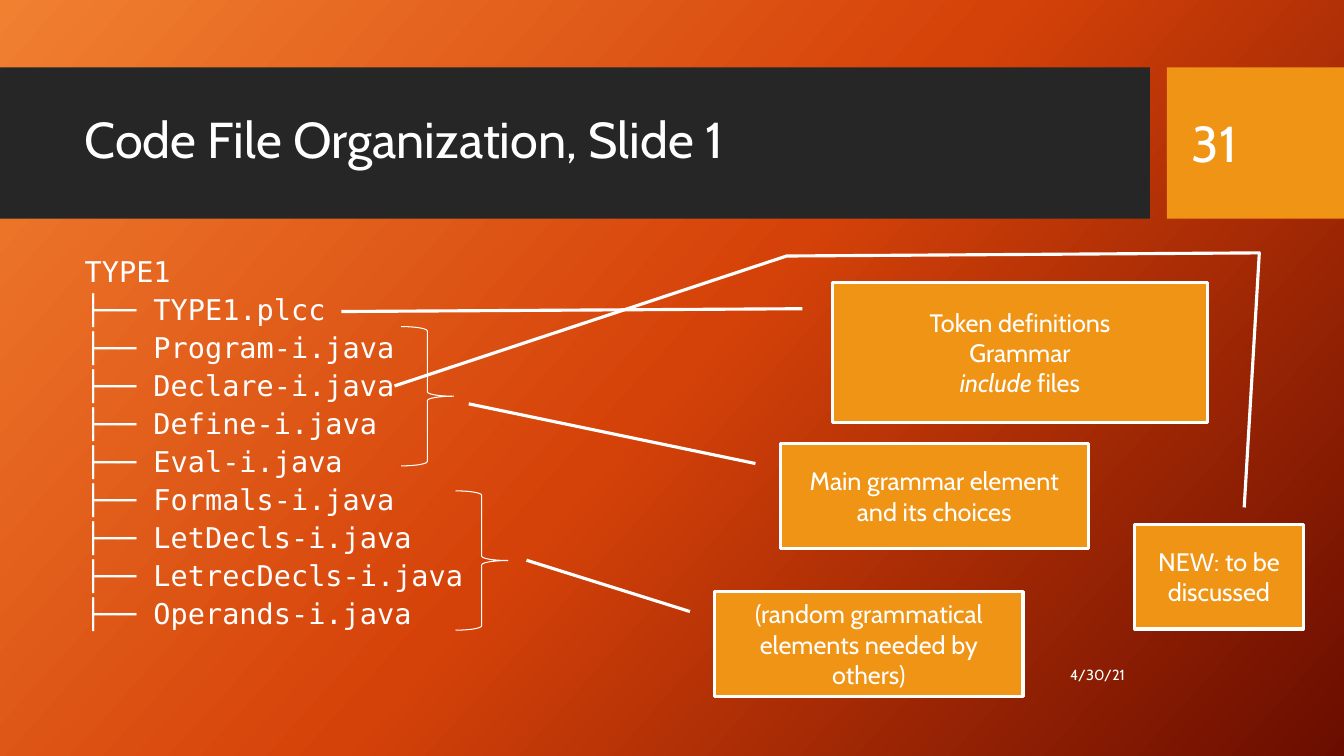
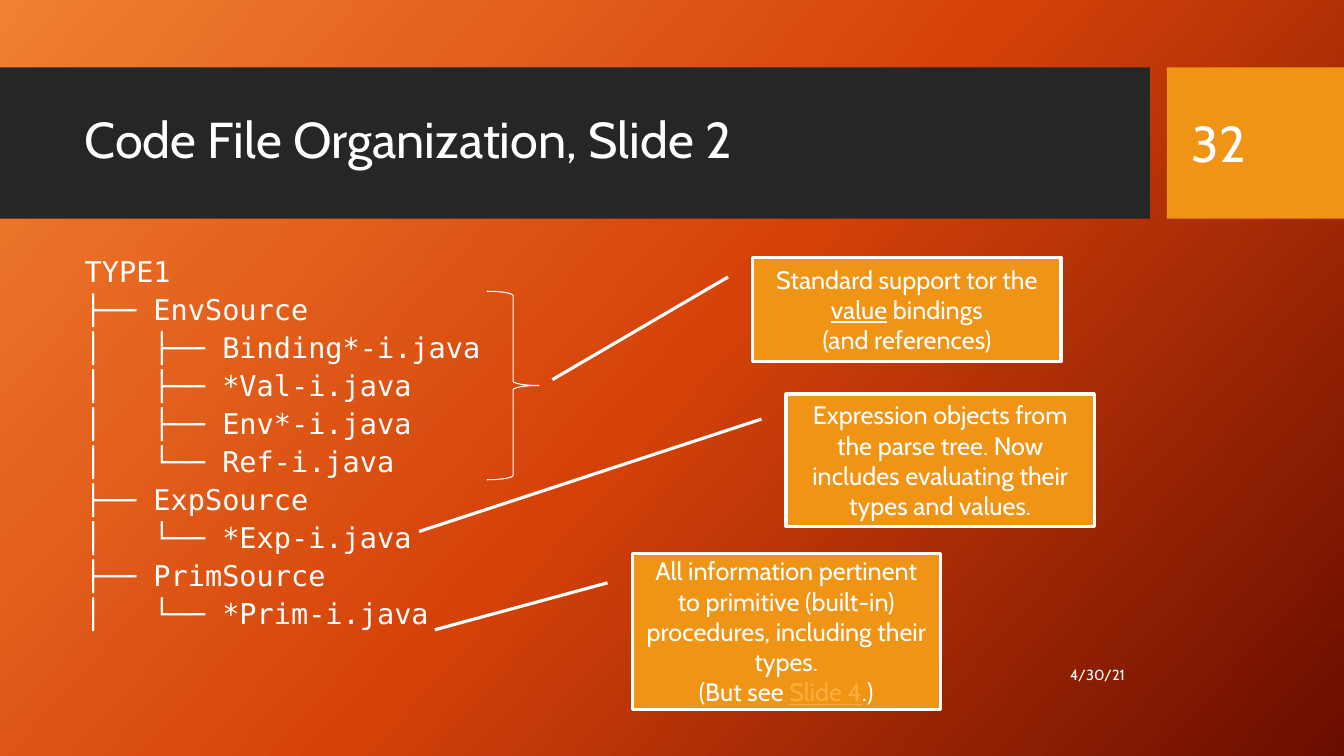
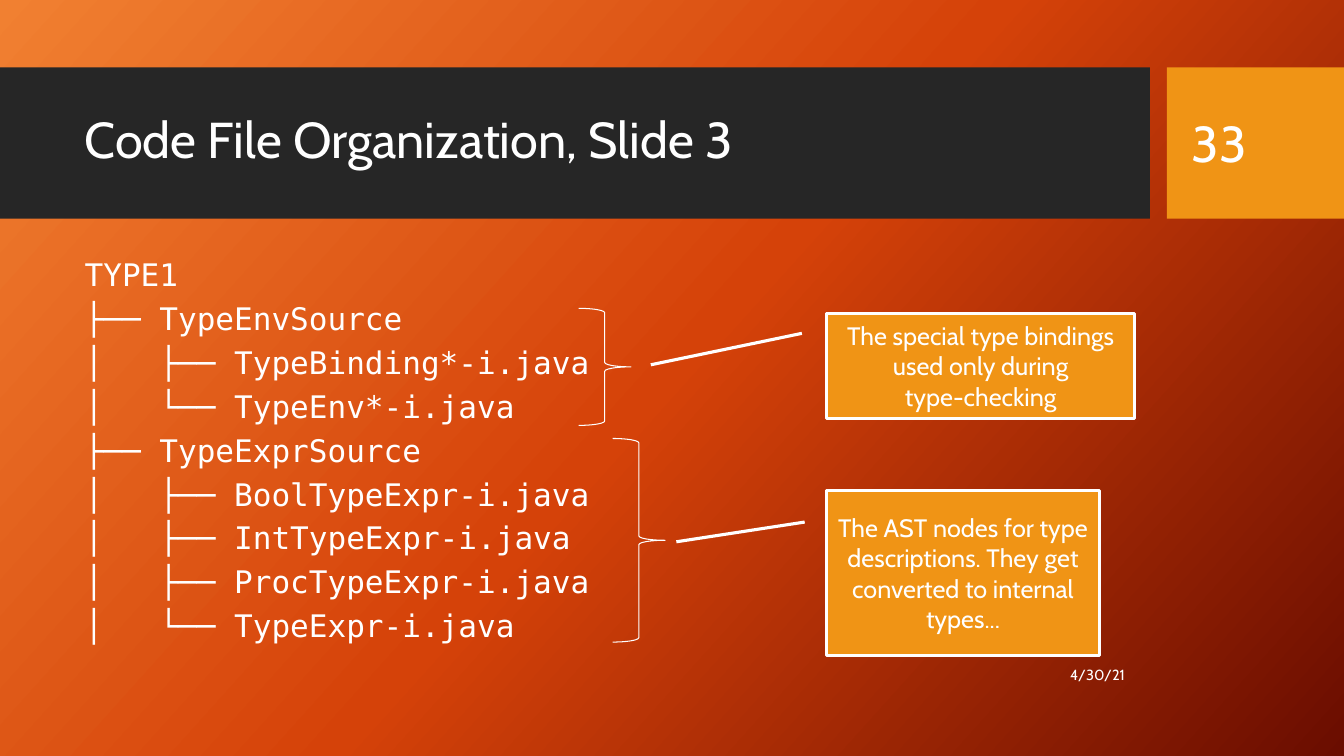
"""Builds three slides on how the code files of TYPE1 are organized."""
from copy import deepcopy

from pptx import Presentation
from pptx import util as u
from pptx.dml.color import RGBColor
from pptx.enum import shapes, text as t
from pptx.oxml.ns import qn

WHITE = RGBColor(0xFF, 0xFF, 0xFF)
DARK = RGBColor(0x26, 0x26, 0x26)
AMBER = RGBColor(0xF0, 0x94, 0x15)
LINK = RGBColor(0xFF, 0xAE, 0x3E)
GLOW = ((0, RGBColor(0xF1, 0x80, 0x31)),
        (0.5, RGBColor(0xD5, 0x42, 0x09)),
        (1, RGBColor(0x6A, 0x0D, 0x00)))
SANS, MONO = "Cabin", "DejaVu Sans Mono"
KIND = shapes.MSO_SHAPE
LEFT, MID, RIGHT = t.PP_ALIGN.LEFT, t.PP_ALIGN.CENTER, t.PP_ALIGN.RIGHT
WIDE, LOW, BRACE = 7.77, 2.64, 1.32


def cm(*nums):
    """Turn numbers into lengths."""
    return [u.Cm(num) for num in nums]


def place(shape, *box):
    """Move and size a shape."""
    shape.left, shape.top, shape.width, shape.height = cm(*box)


def write(shape, paras, size=18, font=SANS, align=LEFT, space=None,
          before=None, anchor=t.MSO_ANCHOR.MIDDLE):
    """Fill a shape with paragraphs of plain strings or (string, format) runs."""
    frame = shape.text_frame
    frame.word_wrap = True
    frame.auto_size = t.MSO_AUTO_SIZE.NONE
    frame.vertical_anchor = anchor
    for i, runs in enumerate(paras):
        para = frame.add_paragraph() if i else frame.paragraphs[0]
        para.alignment = align
        if space:
            para.line_spacing = space
        if before:
            para.space_before = u.Pt(before)
        for item in [runs] if isinstance(runs, str) else runs:
            words, look = (item, {}) if isinstance(item, str) else item
            if words == "\n":
                para.add_line_break()
                continue
            run = para.add_run()
            run.text = words
            run.font.name, run.font.size = font, u.Pt(size)
            run.font.color.rgb = look.get("color", WHITE)
            if "under" in look:
                run.font.underline = True
            if "slant" in look:
                run.font.italic = True


def draw(slide, kind, box, fill=None, line=None):
    """Add a flat preset shape."""
    shape = slide.shapes.add_shape(kind, *cm(*box))
    shape.shadow.inherit = False
    if fill is None:
        shape.fill.background()
    else:
        shape.fill.solid()
        shape.fill.fore_color.rgb = fill
    if line is None:
        shape.line.fill.background()
    else:
        shape.line.color.rgb, shape.line.width = WHITE, u.Pt(line)
    return shape


def note(slide, box, paras, *end, kind=KIND.LINE_CALLOUT_1, start=(0.19, -0.08)):
    """Add a callout whose line runs from start to end, as (down, across) shares."""
    shape = draw(slide, kind, box, AMBER, 2.25)
    for i, share in enumerate(start + end):
        shape.adjustments[i] = share
    write(shape, paras, align=MID)


def brace(slide, left, top, height):
    """Add a right brace."""
    draw(slide, KIND.RIGHT_BRACE, (left, top, BRACE, height), line=0.75)


def label(slide, words, box, **look):
    """Add a text box of one line."""
    write(slide.shapes.add_textbox(*cm(*box)), [words], **look)


def tree(*nodes):
    """List the lines of a file tree from names and (folder, files) pairs."""
    lines = ["TYPE1"]
    for node in nodes:
        name, files = (node, ()) if isinstance(node, str) else node
        lines.append("├── " + name)
        for i, file in enumerate(files, 1):
            lines.append("│   " + ("└── " if i == len(files) else "├── ") + file)
    return lines


def style(layout, slide):
    """Give the layout its background, bands and placeholder places."""
    for holder in list(layout.placeholders)[2:]:
        holder.element.getparent().remove(holder.element)
    title, body = layout.placeholders
    place(title, 1.88, 2.08, 26.7, 3)
    place(body, 1.88, 6.5, 26.7, 10.01)
    fill = layout.background.fill
    fill.gradient()
    fill.gradient_angle = 318
    stops = next(layout.element.iter(qn("a:gsLst")))
    stops.append(deepcopy(stops[0]))
    for stop, (spot, color) in zip(fill.gradient_stops, GLOW):
        stop.position, stop.color.rgb = spot, color
    for i, (left, width, color) in enumerate(((0, 28.98, DARK), (29.41, 4.46, AMBER))):
        band = draw(slide, KIND.RECTANGLE, (left, 1.7, width, 3.81), color)
        layout.shapes.element.insert(2 + i, band.element)


def page(deck, num, lines, size=20.4, space=0.7):
    """Add a slide with title, file tree, date and number."""
    layout = deck.slide_layouts[1]
    slide = deck.slides.add_slide(layout)
    if num == 1:
        style(layout, slide)
    title, body = slide.placeholders
    write(title, [f"Code File Organization, Slide {num}"], size=36, space=0.9)
    write(body, lines, size=size, font=MONO, space=space, before=10,
          anchor=t.MSO_ANCHOR.TOP)
    for para in body.text_frame.paragraphs:
        props = para._p.get_or_add_pPr()
        props.set("marL", "0")
        props.set("indent", "0")
        props.append(props.makeelement(qn("a:buNone"), {}))
    label(slide, "4/30/21", (20.98, 16.48, 7.62, 1.02), size=10.5, align=RIGHT)
    label(slide, str(30 + num), (29.79, 2.08, 3.2, 3.02), size=36)
    return slide


def first(deck):
    """Build the slide on the grammar files."""
    names = ("Program", "Declare", "Define", "Eval", "Formals", "LetDecls",
             "LetrecDecls", "Operands")
    slide = page(deck, 1, tree("TYPE1.plcc", *(f"{name}-i.java" for name in names)))
    note(slide, (20.98, 7.11, 9.45, 3.53),
         ["Token definitions", "Grammar", [("include", {"slant": 1}), " files"]],
         0.21, -1.31)
    note(slide, (19.66, 11.18, WIDE, LOW),
         ["Main grammar element and its choices"], -0.38, -1.01)
    brace(slide, 10.11, 8.23, 3.51)
    brace(slide, 11.48, 12.37, 3.51)
    note(slide, (18.01, 14.91, WIDE, LOW),
         ["(random grammatical elements needed by others)"], -0.3, -0.61)
    note(slide, (28.6, 13.21, 4.24, LOW), ["NEW: to be discussed"],
         -2.59, 0.74, -2.56, -2.07, -1.32, -4.4,
         kind=KIND.LINE_CALLOUT_3, start=(-0.16, 0.65))


def second(deck):
    """Build the slide on environments, expressions and primitives."""
    slide = page(deck, 2, tree(
        ("EnvSource", ("Binding*-i.java", "*Val-i.java", "Env*-i.java", "Ref-i.java")),
        ("ExpSource", ("*Exp-i.java",)),
        ("PrimSource", ("*Prim-i.java",))))
    note(slide, (15.93, 13.94, WIDE, 3.94),
         ["All information pertinent to primitive (built-in) procedures, "
          "including their types.",
          ["(But see ", ("Slide 4", {"color": LINK, "under": 1}), ".)"]],
         0.49, -0.64)
    note(slide, (18.97, 6.48, WIDE, LOW),
         [["Standard support tor the ", ("value", {"under": 1}), " bindings",
           "\n", "(and references)"]], 1.17, -0.65)
    brace(slide, 12.27, 7.34, 4.75)
    note(slide, (19.81, 9.93, WIDE, 3.33),
         ["Expression objects from the parse tree. Now includes evaluating "
          "their types and values."], 1.04, -1.19)


def third(deck):
    """Build the slide on the type files."""
    slide = page(deck, 3, tree(
        ("TypeEnvSource", ("TypeBinding*-i.java", "TypeEnv*-i.java")),
        ("TypeExprSource", ("BoolTypeExpr-i.java", "IntTypeExpr-i.java",
                            "ProcTypeExpr-i.java", "TypeExpr-i.java"))),
        size=22.2, space=0.8)
    note(slide, (20.83, 7.9, WIDE, LOW),
         ["The special type bindings used only during", "type-checking"],
         0.49, -0.57)
    brace(slide, 14.58, 7.77, 2.95)
    brace(slide, 15.44, 11.05, 5.13)
    note(slide, (20.83, 12.37, 6.88, 4.14),
         ["The AST nodes for type descriptions. They get converted to internal "
          "types..."], 0.31, -0.55)


def main():
    """Build and save the slides."""
    deck = Presentation()
    deck.slide_width, deck.slide_height = cm(33.87, 19.05)
    first(deck)
    second(deck)
    third(deck)
    deck.save("out.pptx")


if __name__ == "__main__":
    main()
